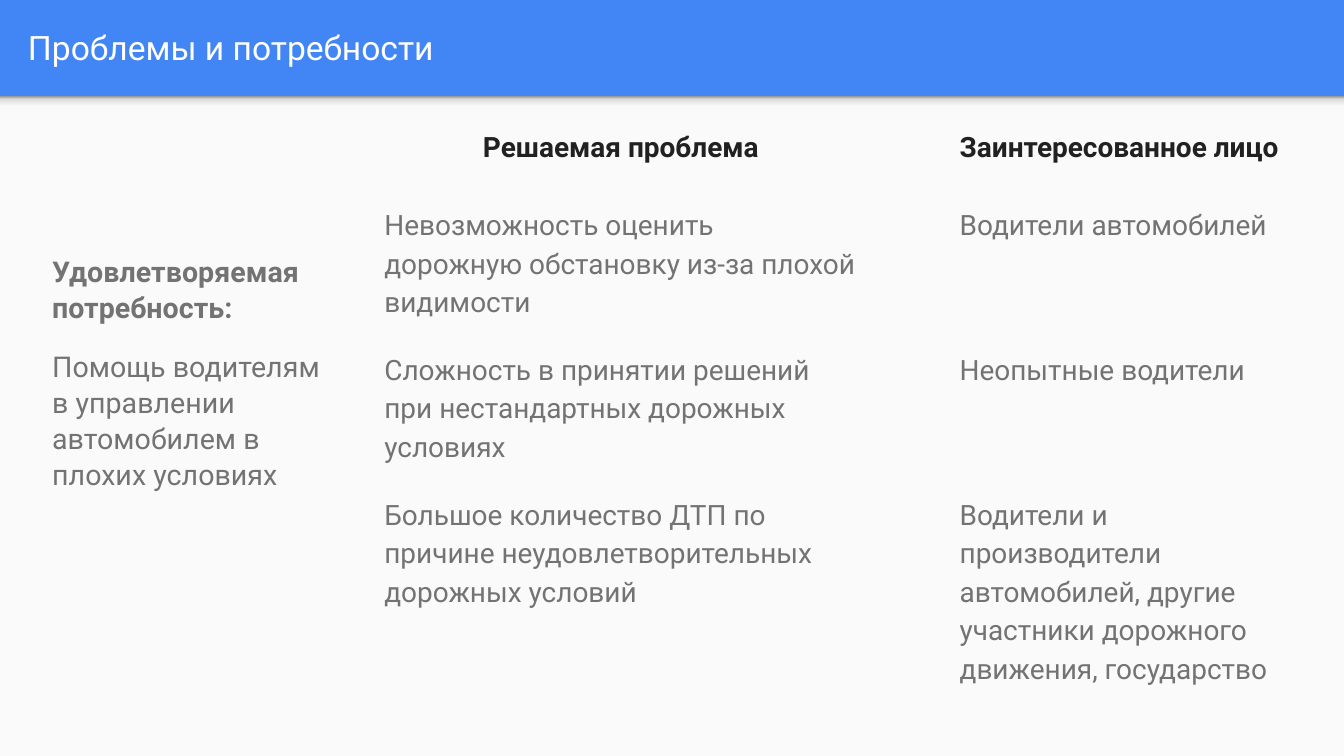
from dataclasses import dataclass
from typing import Optional

from lxml.etree import SubElement
from pptx import Presentation
from pptx.dml.color import RGBColor
from pptx.enum.shapes import MSO_SHAPE as Preset
from pptx.enum.text import MSO_ANCHOR as Anchor, PP_ALIGN as Align
from pptx.oxml.ns import qn
from pptx.util import Pt


@dataclass(frozen=True)
class Theme:
    """Colours, font and type sizes of the slide."""
    font: str = "Roboto"
    header: str = "4285F4"
    paper: str = "FAFAFA"
    title: str = "FFFFFF"
    heading: str = "212121"
    body: str = "737373"
    shadow: tuple = ((0, "F9F9F9"), (36, "F9F9F9"), (80, "DEDEDE"), (100, "999999"))
    title_size: float = 18
    need_size: float = 15.3
    table_size: float = 15
    inset: float = 7.2


@dataclass(frozen=True)
class Box:
    """Position and size in points."""
    left: float
    top: float
    width: float
    height: float

    def lengths(self) -> tuple:
        """Return the four values as lengths."""
        return Pt(self.left), Pt(self.top), Pt(self.width), Pt(self.height)


@dataclass(frozen=True)
class Column:
    """A table column with its heading and entries."""
    width: float
    indent: float
    heading_align: Align
    heading: str
    entries: tuple


THEME = Theme()
WIDTH, HEIGHT, HEADER_HEIGHT = 720, 405, 51.6
TABLE_LEFT, TABLE_TOP = 198, 60.4
ROW_HEIGHTS = (41.8, 62.6, 62.6, 64)
COLUMNS = (
    Column(268.6, 0.7, Align.CENTER, "Решаемая проблема", (
        "Невозможность оценить дорожную обстановку из-за плохой видимости",
        "Сложность в принятии решений при нестандартных дорожных условиях",
        "Большое количество ДТП по причине неудовлетворительных дорожных условий",
    )),
    Column(236.9, 40.3, Align.LEFT, "Заинтересованное лицо", (
        "Водители автомобилей",
        "Неопытные водители",
        "Водители и производители автомобилей, другие участники дорожного движения, государство",
    )),
)


def write(paragraph, text: str, *, size: float, color: str, bold: bool = False,
          align: Align = Align.LEFT, spacing: float = 1, before: float = 0,
          indent: Optional[float] = None) -> None:
    """Put formatted text into a paragraph."""
    paragraph.alignment = align
    paragraph.line_spacing = spacing
    paragraph.space_before = Pt(before)
    if indent is not None:
        paragraph._p.get_or_add_pPr().set("marL", str(Pt(indent)))
    run = paragraph.add_run()
    run.text = text
    run.font.name = THEME.font
    run.font.size = Pt(size)
    run.font.bold = bold
    run.font.color.rgb = RGBColor.from_string(color)


def set_margins(target) -> None:
    """Give a text frame or a cell equal insets."""
    for side in ("left", "right", "top", "bottom"):
        setattr(target, f"margin_{side}", Pt(THEME.inset))


def add_panel(slide, box: Box):
    """Add a plain rectangle in the paper colour."""
    shape = slide.shapes.add_shape(Preset.RECTANGLE, *box.lengths())
    shape.shadow.inherit = False
    shape.line.fill.background()
    shape.fill.solid()
    shape.fill.fore_color.rgb = RGBColor.from_string(THEME.paper)
    return shape


def shade(shape, stops: tuple) -> None:
    """Fill a shape with a gradient that is darkest at the top."""
    shape.fill.gradient()
    shape.fill.gradient_angle = 90
    stop_list = shape._element.spPr.find(qn("a:gradFill")).find(qn("a:gsLst"))
    for stop in list(stop_list):
        stop_list.remove(stop)
    for percent, color in stops:
        stop = SubElement(stop_list, qn("a:gs"), pos=str(percent * 1000))
        SubElement(stop, qn("a:srgbClr"), val=color)


def add_text_frame(slide, box: Box, anchor: Anchor):
    """Add a wrapping text box and return its frame."""
    frame = slide.shapes.add_textbox(*box.lengths()).text_frame
    frame.word_wrap = True
    frame.vertical_anchor = anchor
    set_margins(frame)
    return frame


def add_problem_table(slide, columns: tuple) -> None:
    """Add the table of problems and stakeholders without borders."""
    box = Box(TABLE_LEFT, TABLE_TOP, sum(column.width for column in columns), sum(ROW_HEIGHTS))
    table = slide.shapes.add_table(len(ROW_HEIGHTS), len(columns), *box.lengths()).table
    table.first_row = table.horz_banding = False
    style = table._tbl.tblPr.find(qn("a:tableStyleId"))
    style.text = "{2D5ABB26-0587-4C30-8999-92F81FD0307C}"
    for row, height in zip(table.rows, ROW_HEIGHTS):
        row.height = Pt(height)
    for column_index, column in enumerate(columns):
        table.columns[column_index].width = Pt(column.width)
        for row_index, text in enumerate((column.heading, *column.entries)):
            is_heading = row_index == 0
            cell = table.cell(row_index, column_index)
            cell.fill.background()
            set_margins(cell)
            write(cell.text_frame.paragraphs[0], text, size=THEME.table_size,
                  color=THEME.heading if is_heading else THEME.body, bold=is_heading,
                  align=column.heading_align if is_heading else Align.LEFT,
                  spacing=1.17, before=1, indent=column.indent)


def main() -> None:
    """Build and save the slide."""
    presentation = Presentation()
    presentation.slide_width, presentation.slide_height = Pt(WIDTH), Pt(HEIGHT)
    slide = presentation.slides.add_slide(presentation.slide_layouts[6])
    slide.background.fill.solid()
    slide.background.fill.fore_color.rgb = RGBColor.from_string(THEME.header)

    add_panel(slide, Box(0, HEADER_HEIGHT, WIDTH, HEIGHT - HEADER_HEIGHT))
    shade(add_panel(slide, Box(0, HEADER_HEIGHT, WIDTH, 8.6)), THEME.shadow)

    title = add_text_frame(slide, Box(7.9, 1.6, 694.8, 47.5), Anchor.MIDDLE)
    write(title.paragraphs[0], "Проблемы и потребности",
          size=THEME.title_size, color=THEME.title)

    need = add_text_frame(slide, Box(20.9, 128.2, 165.6, 213), Anchor.TOP)
    write(need.paragraphs[0], "Удовлетворяемая потребность:",
          size=THEME.need_size, color=THEME.body, bold=True, spacing=1.05)
    write(need.add_paragraph(), "Помощь водителям в управлении автомобилем в плохих условиях",
          size=THEME.need_size, color=THEME.body, spacing=1.05, before=12)

    add_problem_table(slide, COLUMNS)
    presentation.save("out.pptx")


if __name__ == "__main__":
    main()
